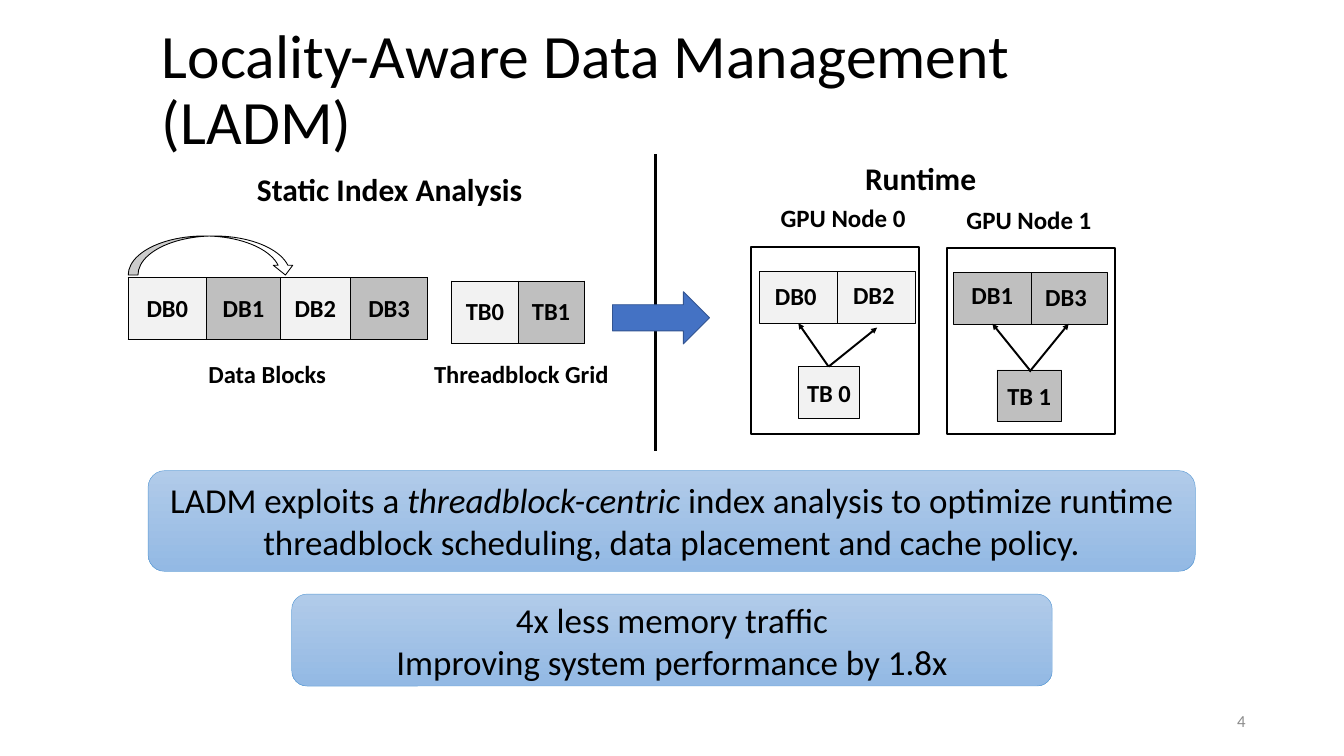
"""Build the Locality-Aware Data Management slide."""
from copy import deepcopy
from dataclasses import dataclass

from lxml.etree import SubElement
from pptx import Presentation
from pptx.dml.color import RGBColor
from pptx.enum.shapes import MSO_CONNECTOR, MSO_SHAPE
from pptx.enum.text import MSO_ANCHOR, MSO_AUTO_SIZE, PP_ALIGN
from pptx.oxml import parse_xml
from pptx.oxml.ns import nsdecls, qn
from pptx.util import Inches, Pt


@dataclass(frozen=True)
class Theme:
    font: str = "Calibri"
    black: RGBColor = RGBColor(0, 0, 0)
    white: RGBColor = RGBColor(255, 255, 255)
    light: RGBColor = RGBColor(0xF2, 0xF2, 0xF2)
    dark: RGBColor = RGBColor(0xBF, 0xBF, 0xBF)
    muted: RGBColor = RGBColor(0x8C, 0x8C, 0x8C)
    arrow: RGBColor = RGBColor(0x44, 0x72, 0xC4)
    arrow_line: RGBColor = RGBColor(0x32, 0x54, 0x91)
    callout_top: RGBColor = RGBColor(0xB1, 0xCB, 0xE9)
    callout_bottom: RGBColor = RGBColor(0x93, 0xB9, 0xE4)
    callout_line: RGBColor = RGBColor(0x5B, 0x9B, 0xD5)
    title_size: float = 70.4
    callout_size: float = 40
    heading_size: float = 36
    node_size: float = 28.5
    label_size: float = 28
    number_size: float = 19.2


theme = Theme()


def style_text(frame, size, bold=False, align=PP_ALIGN.LEFT, color=theme.black):
    for paragraph in frame.paragraphs:
        paragraph.alignment = align
        paragraph.font.name = theme.font
        paragraph.font.size = Pt(size)
        paragraph.font.bold = bold
        paragraph.font.color.rgb = color


def add_box(kind, box, fill, line, line_width):
    shape = slide.shapes.add_shape(kind, *map(Inches, box))
    shape.shadow.inherit = False
    shape.fill.solid()
    shape.fill.fore_color.rgb = fill
    shape.line.color.rgb = line
    shape.line.width = Pt(line_width)
    return shape


presentation = Presentation()
presentation.slide_width = Inches(21.33)
presentation.slide_height = Inches(12)
layout = presentation.slide_layouts[5]
slide = presentation.slides.add_slide(layout)

title = slide.shapes.title
title.left, title.top, title.width, title.height = map(Inches, (2.47, 0.29, 17.39, 2.32))
title.text_frame.text = "Locality-Aware Data Management \v(LADM)"
title.text_frame.auto_size = MSO_AUTO_SIZE.NONE
title.text_frame.vertical_anchor = MSO_ANCHOR.MIDDLE
title.text_frame.paragraphs[0].line_spacing = 0.9
style_text(title.text_frame, theme.title_size)

for placeholder in layout.placeholders:
    if placeholder.name.startswith("Slide Number"):
        slide.shapes._spTree.append(deepcopy(placeholder._element))
number = slide.placeholders[12]
number.left, number.top, number.width, number.height = map(Inches, (15.07, 11.12, 4.8, 0.64))
number.text_frame.text = "4"
number.text_frame.vertical_anchor = MSO_ANCHOR.MIDDLE
style_text(number.text_frame, theme.number_size, align=PP_ALIGN.RIGHT, color=theme.muted)

callouts = [
    ((2.35, 7.47, 16.62, 1.6), [[
        ("LADM exploits a ", False),
        ("threadblock-centric", True),
        (" index analysis to optimize runtime threadblock scheduling, "
         "data placement and cache policy.", False),
    ]]),
    ((4.63, 9.43, 12.07, 1.46), [
        [("4x less memory traffic", False)],
        [("Improving system performance by 1.8x", False)],
    ]),
]
for box, lines in callouts:
    callout = add_box(MSO_SHAPE.ROUNDED_RECTANGLE, box, theme.callout_top, theme.callout_line, 0.5)
    callout.fill.gradient()
    callout.fill.gradient_angle = 270
    for stop, color in zip(callout.fill.gradient_stops, (theme.callout_top, theme.callout_bottom)):
        stop.color.rgb = color
    frame = callout.text_frame
    frame.word_wrap = True
    frame.vertical_anchor = MSO_ANCHOR.MIDDLE
    frame.margin_left = frame.margin_right = Inches(0.12)
    frame.margin_top = frame.margin_bottom = Inches(0.06)
    for index, runs in enumerate(lines):
        paragraph = frame.add_paragraph() if index else frame.paragraphs[0]
        for text, italic in runs:
            run = paragraph.add_run()
            run.text = text
            run.font.italic = italic
    style_text(frame, theme.callout_size, align=PP_ALIGN.CENTER)

tables = [
    ("TB", 7.17, 4.46, 0.99, [1.05, 1.05]),
    ("DB", 2.03, 4.41, 0.98, [1.25, 1.17, 1.11, 1.23]),
]
for prefix, left, top, height, widths in tables:
    box = map(Inches, (left, top, sum(widths), height))
    table = slide.shapes.add_table(1, len(widths), *box).table
    table.first_row = table.horz_banding = False
    for index, width in enumerate(widths):
        table.columns[index].width = Inches(width)
        cell = table.cell(0, index)
        cell.text = f"{prefix}{index}"
        cell.vertical_anchor = MSO_ANCHOR.MIDDLE
        cell.margin_left = cell.margin_right = Inches(0.18)
        cell.margin_top = cell.margin_bottom = Inches(0.09)
        style_text(cell.text_frame, theme.label_size, True, PP_ALIGN.CENTER)
        for side in ("lnL", "lnR", "lnT", "lnB"):
            cell._tc.get_or_add_tcPr().append(parse_xml(
                f'<a:{side} {nsdecls("a")} w="{Pt(1)}"><a:solidFill>'
                f'<a:srgbClr val="{theme.black}"/></a:solidFill></a:{side}>'))
        cell.fill.solid()
        cell.fill.fore_color.rgb = theme.dark if index % 2 else theme.light

stride_arrow = add_box(MSO_SHAPE.CURVED_RIGHT_ARROW, (3.05, 2.73, 0.62, 2.65),
                       theme.white, theme.black, 1)
stride_arrow.rotation = 90
stride_arrow._element.spPr.xfrm.set("flipV", "1")

nodes = [
    ((11.92, 3.92, 2.66, 2.97), theme.light, (12.05, 13.29), 4.31, (12.67, 5.82, 0.97, 0.82), "TB 0"),
    ((15.03, 3.93, 2.66, 2.96), theme.dark, (15.13, 16.34), 4.32, (15.82, 5.87, 1.03, 0.82), "TB 1"),
]
for node_box, color, block_lefts, block_top, thread_box, thread_name in nodes:
    add_box(MSO_SHAPE.RECTANGLE, node_box, theme.white, theme.black, 2.25)
    for block_left in reversed(block_lefts):
        add_box(MSO_SHAPE.RECTANGLE, (block_left, block_top, 1.24, 0.82), color, theme.black, 0.5)
    threadblock = add_box(MSO_SHAPE.RECTANGLE, thread_box, color, theme.black, 0.5)
    threadblock.text_frame.text = thread_name
    threadblock.text_frame.vertical_anchor = MSO_ANCHOR.MIDDLE
    style_text(threadblock.text_frame, theme.label_size, True, PP_ALIGN.CENTER)

lines = [
    (13.15, 5.82, 12.67, 5.13, 2.25, True),
    (13.15, 5.82, 13.92, 5.2, 2.25, True),
    (16.34, 5.87, 15.75, 5.14, 2.25, True),
    (16.34, 5.9, 16.96, 5.14, 2.25, True),
    (10.4, 2.45, 10.4, 7.16, 3, False),
]
for *ends, width, has_arrowhead in lines:
    connector = slide.shapes.add_connector(MSO_CONNECTOR.STRAIGHT, *map(Inches, ends))
    connector.line.color.rgb = theme.black
    connector.line.width = Pt(width)
    if has_arrowhead:
        SubElement(connector.line._get_or_add_ln(), qn("a:tailEnd"), type="triangle")
    SubElement(connector._element.spPr, qn("a:effectLst"))

labels = [
    ("Data Blocks", 3.21, 5.65, 2.4, 0.57, theme.label_size),
    ("Threadblock Grid", 6.79, 5.65, 3.38, 0.57, theme.label_size),
    ("GPU Node 0", 12.29, 3.16, 2.21, 0.58, theme.node_size),
    ("GPU Node 1", 15.24, 3.2, 2.21, 0.58, theme.node_size),
    ("DB0", 12.2, 4.41, 0.96, 0.57, theme.label_size),
    ("DB2", 13.44, 4.4, 0.96, 0.57, theme.label_size),
    ("DB1", 15.32, 4.39, 0.96, 0.57, theme.label_size),
    ("DB3", 16.49, 4.42, 0.96, 0.57, theme.label_size),
    ("Static Index Analysis", 3.98, 2.65, 4.47, 0.71, theme.heading_size),
    ("Runtime", 13.63, 2.47, 1.99, 0.71, theme.heading_size),
]
for text, *box, size in labels:
    label = slide.shapes.add_textbox(*map(Inches, box))
    label.text_frame.word_wrap = True
    label.text_frame.text = text
    style_text(label.text_frame, size, True)

add_box(MSO_SHAPE.RIGHT_ARROW, (9.72, 4.63, 1.54, 0.83), theme.arrow, theme.arrow_line, 1)

presentation.save("out.pptx")
